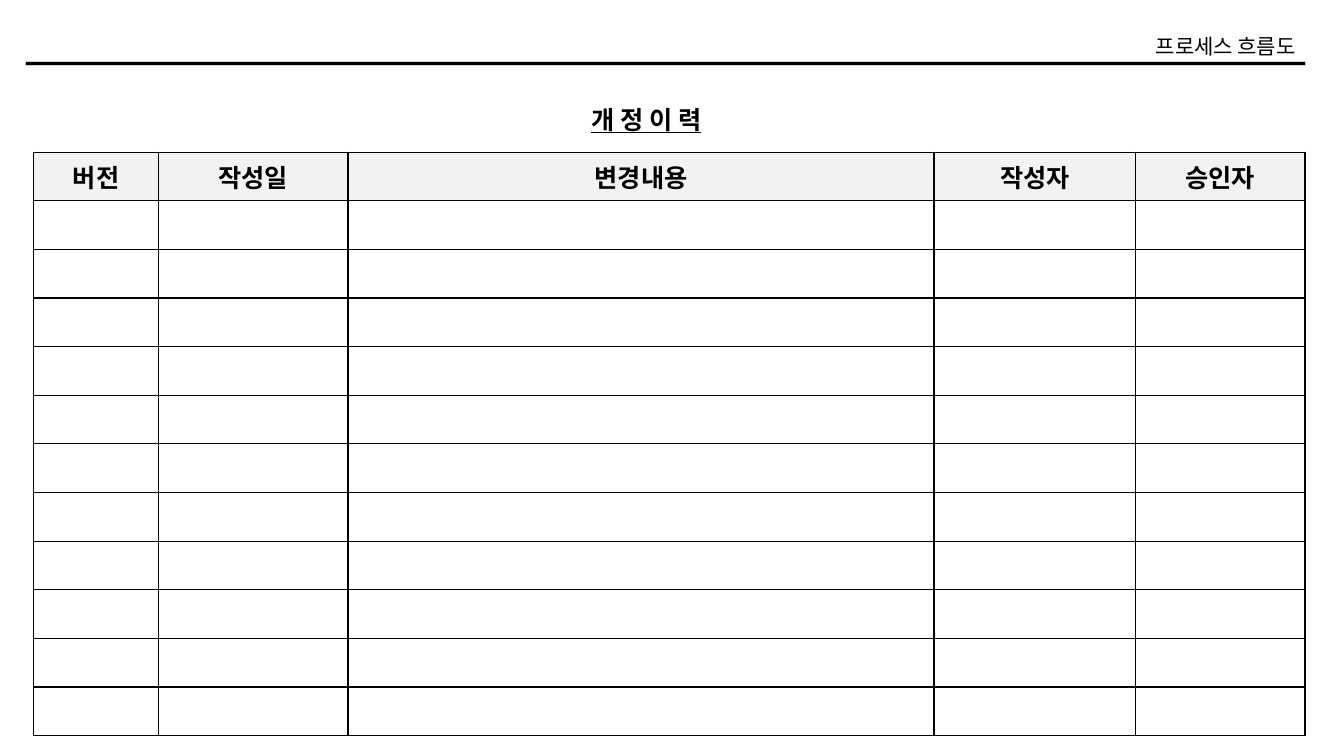
from dataclasses import dataclass

from lxml.etree import SubElement
from pptx import Presentation
from pptx.dml.color import RGBColor
from pptx.enum.shapes import MSO_SHAPE as SHAPE
from pptx.enum.text import MSO_ANCHOR as ANCHOR, MSO_AUTO_SIZE as AUTO, PP_ALIGN as AL
from pptx.oxml.ns import qn
from pptx.util import Inches, Pt

HEADERS = ["버전", "작성일", "변경내용", "작성자", "승인자"]
COL_WIDTHS = [9.3, 14.1, 43.6, 15, 12.6]  # percent of the slide width
ROW_COUNT = 12


@dataclass(frozen=True)
class Theme:
    font: str = "Noto Sans CJK KR"
    ink: str = "000000"
    rule_edge: str = "D0CECE"
    header_fill: str = "F2F2F2"
    heading: int = 18
    label: int = 15
    border: int = 1
    rule_line: float = 0.3


class RevisionSlide:
    """Lengths passed to the methods are percentages of the slide's size."""

    def __init__(self, prs, theme):
        self.prs, self.theme = prs, theme
        self.s = prs.slides.add_slide(prs.slide_layouts[5])

    def x(self, share):
        return int(self.prs.slide_width * share / 100)

    def y(self, share):
        return int(self.prs.slide_height * share / 100)

    def box(self, left, top, width, height):
        return self.x(left), self.y(top), self.x(width), self.y(height)

    def add_text(self, tf, text, align, **formats):
        p = tf.paragraphs[0]
        p.alignment = align
        r = p.add_run()
        r.text = text
        formats = {"name": self.theme.font, **formats}
        for name, value in formats.items():
            setattr(r.font, name, value)
        r.font.color.rgb = RGBColor.from_string(self.theme.ink)
        ea = SubElement(r._r.get_or_add_rPr(), qn("a:ea"))
        ea.set("typeface", self.theme.font)

    def frame(self, sp, wrap):
        tf = sp.text_frame
        settings = {"word_wrap": wrap, "auto_size": AUTO.NONE,
                    "vertical_anchor": ANCHOR.MIDDLE}
        for name, value in settings.items():
            setattr(tf, name, value)
        return tf

    def rule(self, *place):
        sp = self.s.shapes.add_shape(SHAPE.RECTANGLE, *self.box(*place))
        sp.shadow.inherit = False
        sp.fill.solid()
        sp.fill.fore_color.rgb = RGBColor.from_string(self.theme.ink)
        sp.line.color.rgb = RGBColor.from_string(self.theme.rule_edge)
        sp.line.width = Pt(self.theme.rule_line)

    def label(self, text, *place):
        sp = self.s.shapes.add_textbox(*self.box(*place))
        self.add_text(self.frame(sp, False), text, AL.RIGHT, size=Pt(self.theme.label))

    def title(self, text, *place):
        sp = self.s.shapes.title
        sp.left, sp.top, sp.width, sp.height = self.box(*place)
        self.add_text(self.frame(sp, True), text, AL.LEFT,
                      size=Pt(self.theme.heading), bold=True, underline=True)

    def border(self, cell):
        tcPr = cell._tc.get_or_add_tcPr()
        for side in ("lnL", "lnR", "lnT", "lnB"):
            ln = SubElement(tcPr, qn(f"a:{side}"), w=str(Pt(self.theme.border)))
            fill = SubElement(ln, qn("a:solidFill"))
            SubElement(fill, qn("a:srgbClr"), val=self.theme.ink)

    def table(self, headers, widths, row_count, left, top, height):
        place = self.box(left, top, sum(widths), height)
        table = self.s.shapes.add_table(row_count, len(headers), *place).table
        table.first_row = table.horz_banding = False
        for column, width in zip(table.columns, widths):
            column.width = self.x(width)
        for row in table.rows:
            row.height = self.y(height / row_count)
        for cell in table.iter_cells():
            self.border(cell)
            cell.fill.background()
            cell.vertical_anchor = ANCHOR.MIDDLE
        for cell, text in zip(table.rows[0].cells, headers):
            cell.fill.solid()
            cell.fill.fore_color.rgb = RGBColor.from_string(self.theme.header_fill)
            self.add_text(cell.text_frame, text, AL.CENTER,
                          size=Pt(self.theme.heading), bold=True)


def main():
    prs = Presentation()
    prs.slide_width, prs.slide_height = Inches(13.33), Inches(7.5)
    slide = RevisionSlide(prs, Theme())
    slide.rule(1.9, 8.13, 95.2, 0.53)
    slide.label("프로세스 흐름도", 84, 3.73, 13.15, 4.67)
    slide.title("개 정 이 력", 43.25, 13.07, 12.5, 5.33)
    slide.table(HEADERS, COL_WIDTHS, ROW_COUNT, 2.5, 20.13, 77.2)
    prs.save("out.pptx")


if __name__ == "__main__":
    main()
